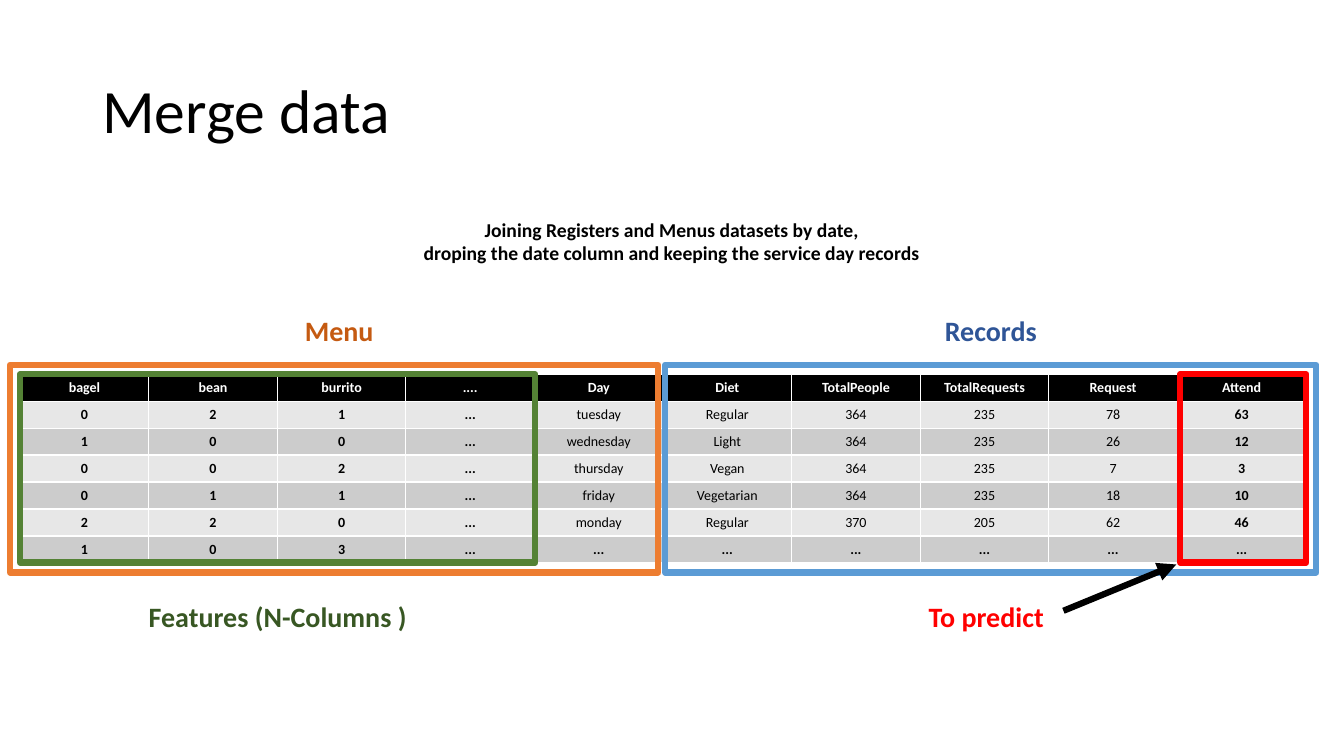
from lxml import etree
from pptx import Presentation
from pptx import util as u
from pptx.dml.color import RGBColor
from pptx.enum import shapes, text
from pptx.oxml import ns

Pt = u.Pt


def color(value):
    return RGBColor.from_string(value)


def write(frame, content, alignment=text.PP_ALIGN.CENTER, spacing=None, ink="000000", **font_format):
    frame.text = content
    for paragraph in frame.paragraphs:
        paragraph.alignment = alignment
        paragraph.line_spacing = spacing
        font = paragraph.runs[0].font
        font.color.rgb = color(ink)
        for name, value in {"name": "Calibri", **font_format}.items():
            setattr(font, name, value)


presentation = Presentation()
presentation.slide_width, presentation.slide_height = Pt(960), Pt(540)
slide = presentation.slides.add_slide(presentation.slide_layouts[6])

title = slide.shapes.add_textbox(Pt(66), Pt(28.75), Pt(828), Pt(104.4))
title.text_frame.word_wrap = True
title.text_frame.vertical_anchor = text.MSO_ANCHOR.MIDDLE
write(title.text_frame, "Merge data", text.PP_ALIGN.LEFT, 0.9, size=Pt(44))

rows = [
    ["bagel", "bean", "burrito", "....", "Day", "Diet", "TotalPeople", "TotalRequests", "Request", "Attend"],
    ["0", "2", "1", "...", "tuesday", "Regular", "364", "235", "78", "63"],
    ["1", "0", "0", "...", "wednesday", "Light", "364", "235", "26", "12"],
    ["0", "0", "2", "...", "thursday", "Vegan", "364", "235", "7", "3"],
    ["0", "1", "1", "...", "friday", "Vegetarian", "364", "235", "18", "10"],
    ["2", "2", "0", "...", "monday", "Regular", "370", "205", "62", "46"],
    ["1", "0", "3"] + ["..."] * 7,
]
table_left, table_top, row_height, column_width = 14.4, 267.3, 19.27, 91.87
last_row, last_column = len(rows) - 1, len(rows[0]) - 1
table = slide.shapes.add_table(
    len(rows), len(rows[0]), Pt(table_left), Pt(table_top),
    Pt(column_width * len(rows[0])), Pt(row_height * len(rows))).table
for column in table.columns:
    column.width = Pt(column_width)
for row_index, values in enumerate(rows):
    table.rows[row_index].height = Pt(row_height)
    fill = "000000" if row_index == 0 else ("CCCCCC", "E7E7E7")[row_index % 2]
    for column_index, value in enumerate(values):
        cell = table.cell(row_index, column_index)
        cell.margin_top = cell.margin_bottom = Pt(3.5)
        properties = cell._tc.get_or_add_tcPr()
        for side in ("lnL", "lnR", "lnT", "lnB"):
            border = etree.SubElement(properties, ns.qn(f"a:{side}"), w=str(Pt(1)))
            border_fill = etree.SubElement(border, ns.qn("a:solidFill"))
            etree.SubElement(border_fill, ns.qn("a:srgbClr"), val="FFFFFF")
        cell.fill.solid()
        cell.fill.fore_color.rgb = color(fill)
        bold = row_index in (0, last_row) or column_index < 4 or column_index == last_column
        write(cell.text_frame, value, ink="FFFFFF" if row_index == 0 else "000000", size=Pt(10), bold=bold)

caption = slide.shapes.add_textbox(Pt(267.8), Pt(151.9), Pt(424), Pt(41))
caption.text_frame.word_wrap = False
write(caption.text_frame,
      "Joining Registers and Menus datasets by date,\n"
      "droping the date column and keeping the service day records",
      size=Pt(14), bold=True)

frames = [
    (475.2, 260.6, 465.1, 148.3, "5B9BD5"),
    (7.2, 260.6, 463, 148.3, "ED7D31"),
    (table_left, table_top, 368, 134.6, "548235"),
    (843.1, table_top, 90, 134.6, "FF0000"),
]
for left, top, width, height, line_color in frames:
    frame = slide.shapes.add_shape(
        shapes.MSO_SHAPE.RECTANGLE, Pt(left), Pt(top), Pt(width), Pt(height))
    frame.shadow.inherit = False
    frame.fill.background()
    frame.line.color.rgb = color(line_color)
    frame.line.width = Pt(4.5)

labels = [
    ("Menu", 14.4, 220.3, 455.8, "C55A11"),
    ("Records", 475.2, 220.3, 465.1, "2F5597"),
    ("Features (N-Columns )", 14.4, 424.8, 368, "385723"),
    ("To predict", 475.2, 424.8, 458.6, "FF0000"),
]
for content, left, top, width, ink in labels:
    label = slide.shapes.add_textbox(Pt(left), Pt(top), Pt(width), Pt(31.5))
    label.text_frame.word_wrap = True
    write(label.text_frame, content, ink=ink, size=Pt(20), bold=True)

arrow = slide.shapes.add_connector(
    shapes.MSO_CONNECTOR.STRAIGHT, Pt(759.6), Pt(436.3), Pt(840.2), Pt(403.2))
arrow.line.color.rgb = color("000000")
arrow.line.width = Pt(4.5)
etree.SubElement(arrow.line._get_or_add_ln(), ns.qn("a:tailEnd"), type="triangle")
etree.SubElement(arrow._element.spPr, ns.qn("a:effectLst"))

presentation.save("out.pptx")
